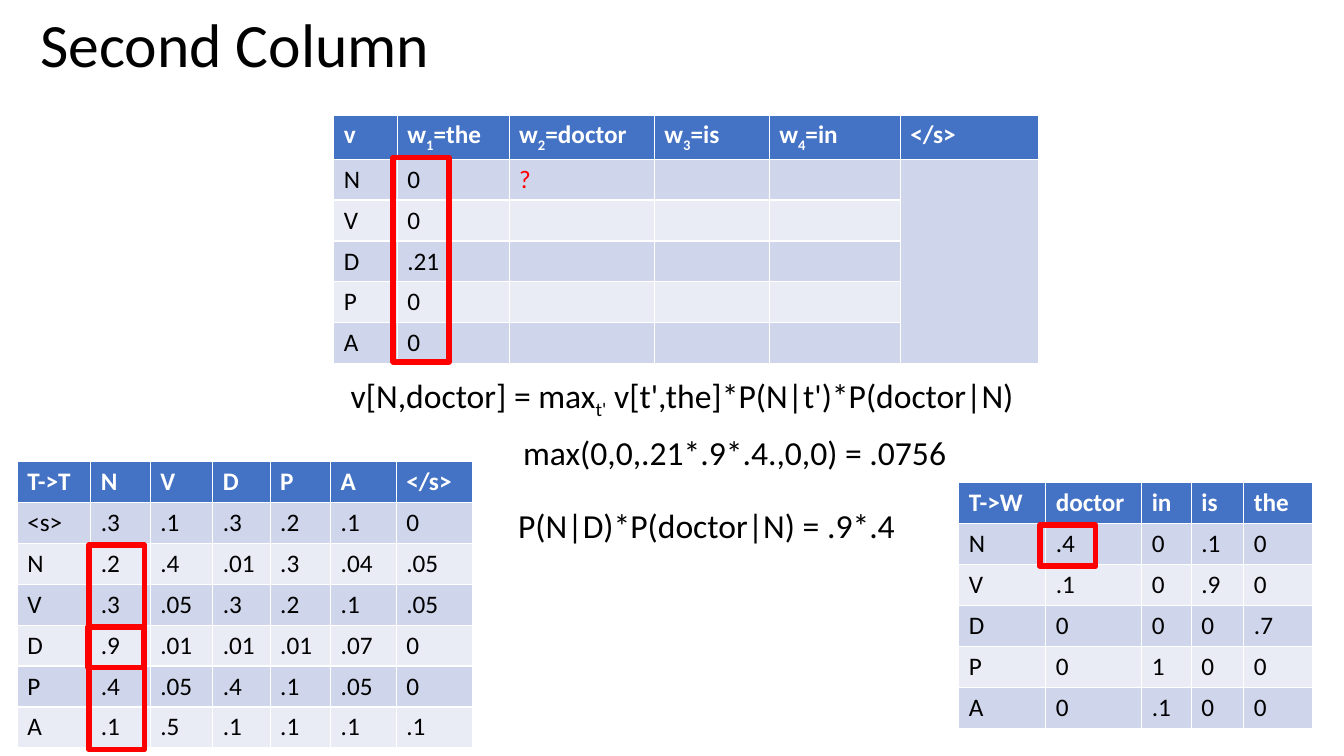
from pptx import Presentation
from pptx.dml.color import RGBColor
from pptx.enum.shapes import MSO_SHAPE
from pptx.enum.text import MSO_ANCHOR, MSO_AUTO_SIZE, PP_ALIGN
from pptx.util import Inches, Pt

SLIDE_W, SLIDE_H = Inches(13.33), Inches(7.5)
ROW = 5.41  # table row height, percent of the slide height
FONT = "Calibri"
BLACK, WHITE, RED = "000000", "FFFFFF", "FF0000"
HEADER, BANDS = "4472C4", ("E9EBF5", "CFD5EA")

# Table contents: one string per row; _x_ marks a subscript, - an empty cell
TRANSITIONS = """T->T N V D P A </s>
<s> .3 .1 .3 .2 .1 0
N .2 .4 .01 .3 .04 .05
V .3 .05 .3 .2 .1 .05
D .9 .01 .01 .01 .07 0
P .4 .05 .4 .1 .05 0
A .1 .5 .1 .1 .1 .1"""
VITERBI = """v w_1_=the w_2_=doctor w_3_=is w_4_=in </s>
N 0 ? - - -
V 0 - - - -
D .21 - - - -
P 0 - - - -
A 0 - - - -"""
EMISSIONS = """T->W doctor in is the
N .4 0 .1 0
V .1 0 .9 0
D 0 0 0 .7
P 0 1 0 0
A 0 .1 0 0"""


def across(percent):
    return round(SLIDE_W * percent / 100)


def down(percent):
    return round(SLIDE_H * percent / 100)


def colour(hex_code):
    return RGBColor.from_string(hex_code)


def write(paragraph, text, size, ink=BLACK, bold=False):
    """Add runs; every second piece between underscores is a subscript."""
    for index, piece in enumerate(text.split("_")):
        run = paragraph.add_run()
        run.text = piece
        run.font.name, run.font.size, run.font.bold = FONT, Pt(size), bold
        run.font.color.rgb = colour(ink)
        if index % 2:
            run._r.get_or_add_rPr().set("baseline", "-25000")


def add_title(slide, text):
    title = slide.shapes.title
    title.left, title.top = across(2.25), down(-3.33)
    title.width, title.height = across(86.27), down(19.33)
    title.text_frame.vertical_anchor = MSO_ANCHOR.MIDDLE
    heading = title.text_frame.paragraphs[0]
    heading.alignment, heading.line_spacing = PP_ALIGN.LEFT, 0.9
    write(heading, text, 44)


def add_grid(slide, content, left, top, width, shares):
    """Add a banded table whose columns split the width by their shares."""
    rows = [line.split() for line in content.splitlines()]
    frame = slide.shapes.add_table(len(rows), len(shares), across(left), down(top),
                                   across(width), down(ROW * len(rows)))
    for column, share in zip(frame.table.columns, shares):
        column.width = round(across(width) * share / sum(shares))
    for r, row in enumerate(rows):
        frame.table.rows[r].height = down(ROW)
        for c, entry in enumerate(row):
            cell = frame.table.cell(r, c)
            cell.fill.solid()
            cell.fill.fore_color.rgb = colour(BANDS[r % 2] if r else HEADER)
            if entry != "-":
                ink = WHITE if r == 0 else RED if entry == "?" else BLACK
                write(cell.text_frame.paragraphs[0], entry, 18, ink, r == 0)
    return frame


def add_formula(slide, text, left, top, width):
    box = slide.shapes.add_textbox(across(left), down(top), across(width), down(6.67))
    box.text_frame.word_wrap = False
    box.text_frame.auto_size = MSO_AUTO_SIZE.SHAPE_TO_FIT_TEXT
    write(box.text_frame.paragraphs[0], text, 24)


def highlight(slide, frame, first_row, row_count, shift):
    """Outline cells in the second column, shifted left of its edge."""
    left = frame.left + frame.table.columns[0].width - across(shift)
    top = frame.top + down(ROW * first_row + 0.2)
    outline = slide.shapes.add_shape(MSO_SHAPE.RECTANGLE, left, top,
                                     across(4.15), down(ROW * row_count))
    outline.shadow.inherit = False
    outline.fill.background()
    outline.line.color.rgb = colour(RED)
    outline.line.width = Pt(4)


def main():
    deck = Presentation()
    deck.slide_width, deck.slide_height = SLIDE_W, SLIDE_H
    slide = deck.slides.add_slide(deck.slide_layouts[5])
    add_title(slide, "Second Column")

    # Probability tables
    transitions = add_grid(slide, TRANSITIONS, 1.28, 61.07, 33.91,
                           (73, 59, 62, 57, 60, 65, 76))
    viterbi = add_grid(slide, VITERBI, 24.83, 15.2, 52.44,
                       (63, 111, 144, 114, 130, 137))
    viterbi.table.cell(1, 5).merge(viterbi.table.cell(5, 5))
    emissions = add_grid(slide, EMISSIONS, 71.34, 63.87, 26.33,
                         (86, 95, 49, 52, 68))

    # Worked calculation
    add_formula(slide, "v[N,doctor] = max_t'_ v[t',the]*P(N|t')*P(doctor|N)",
                25.36, 48.93, 51.39)
    add_formula(slide, "max(0,0,.21*.9*.4.,0,0) = .0756", 38.18, 56.53, 33.23)
    add_formula(slide, "P(N|D)*P(doctor|N) = .9*.4", 37.81, 66.13, 29.78)

    # Cells used in the calculation
    highlight(slide, transitions, 4, 1, 0.2)
    highlight(slide, emissions, 1, 1, 0.45)
    highlight(slide, transitions, 2, 5, 0.15)
    highlight(slide, viterbi, 1, 5, 0.3)

    deck.save("out.pptx")


if __name__ == "__main__":
    main()
